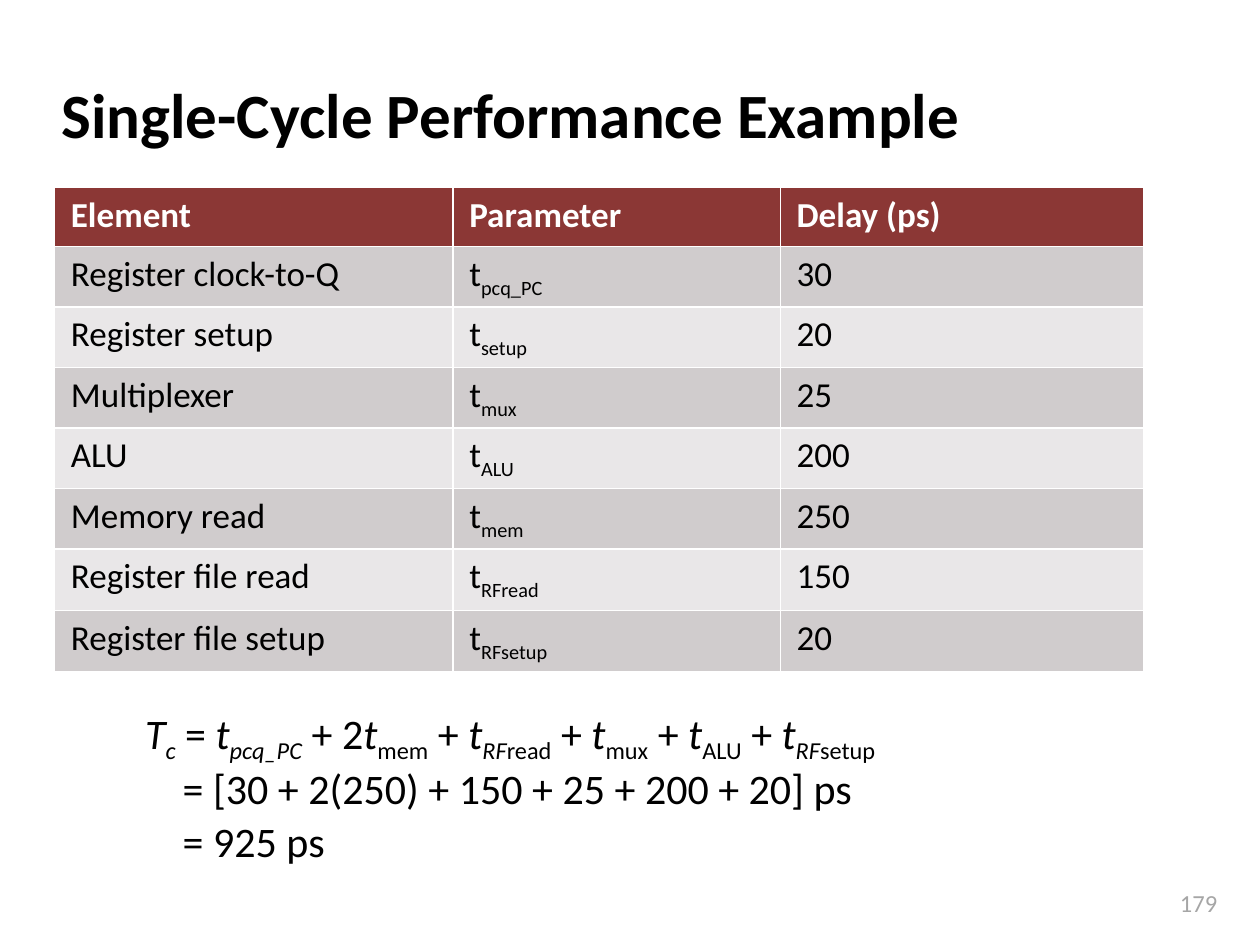
from lxml import etree
from pptx import Presentation
from pptx.dml.color import RGBColor
from pptx.enum.text import MSO_ANCHOR, MSO_AUTO_SIZE, PP_ALIGN
from pptx.oxml.ns import qn
from pptx.util import Cm, Pt

COLORS = {"text": "000000", "header": "8B3735", "header_text": "FFFFFF",
          "dark_band": "D0CCCD", "light_band": "E9E7E8", "number": "A6A6A6"}
FONT = "Calibri"

# Each row: element, subscript of t, delay
DELAYS = [("Register clock-to-Q", "pcq_PC", "30"),
          ("Register setup", "setup", "20"),
          ("Multiplexer", "mux", "25"),
          ("ALU", "ALU", "200"),
          ("Memory read", "mem", "250"),
          ("Register file read", "RFread", "150"),
          ("Register file setup", "RFsetup", "20")]

# Each term: text before t, italic part of the subscript, upright part
TERMS = [(" = ", "pcq_PC", ""), (" + 2", "", "mem"), (" + ", "RF", "read"),
         (" + ", "", "mux"), (" + ", "", "ALU"), (" + ", "RF", "setup")]
RESULTS = ["= [30 + 2(250) + 150 + 25 + 200 + 20] ps", "= 925 ps"]


def add_run(p, text, size, color="text", sub=False, **style):
    r = p.add_run()
    r.text = text
    for name, value in {"name": FONT, "size": Pt(size), **style}.items():
        setattr(r.font, name, value)
    r.font.color.rgb = RGBColor.from_string(COLORS[color])
    if sub:
        r._r.get_or_add_rPr().set("baseline", "-25000")


def place(s, left, top, width, height):
    box = {"left": left, "top": top, "width": width, "height": height}
    for name, value in box.items():
        setattr(s, name, Cm(value))


def add_title(s, text):
    place(s, 0.99, 1.22, 21.08, 2.11)
    tf = s.text_frame
    tf.auto_size = MSO_AUTO_SIZE.NONE
    tf.vertical_anchor = MSO_ANCHOR.MIDDLE
    p = tf.paragraphs[0]
    p.alignment = PP_ALIGN.LEFT
    add_run(p, text, 36, bold=True)


def fill_cell(cell, text, fill, sub="", **style):
    margins = {"margin_left": 0.33, "margin_right": 0.33,
               "margin_top": 0.13, "margin_bottom": 0.13}
    for name, value in margins.items():
        setattr(cell, name, Cm(value))
    cell.fill.solid()
    cell.fill.fore_color.rgb = RGBColor.from_string(COLORS[fill])
    p = cell.text_frame.paragraphs[0]
    add_run(p, text, 20, **style)
    if sub:
        add_run(p, sub, 20, sub=True, **style)


def add_delay_table(slide):
    widths = [8.03, 6.6, 7.32]
    heights = [1.19] * 6 + [1.24] * 2
    table = slide.shapes.add_table(
        len(heights), len(widths), Cm(1.1), Cm(3.78),
        Cm(sum(widths)), Cm(sum(heights))).table
    for column, width in zip(table.columns, widths):
        column.width = Cm(width)
    for row, height in zip(table.rows, heights):
        row.height = Cm(height)
    for c, heading in enumerate(["Element", "Parameter", "Delay (ps)"]):
        fill_cell(table.cell(0, c), heading, "header",
                  color="header_text", bold=True)
    for i, (element, sub, delay) in enumerate(DELAYS, 1):
        band = "dark_band" if i % 2 else "light_band"
        fill_cell(table.cell(i, 0), element, band, bold=False)
        fill_cell(table.cell(i, 1), "t", band, sub=sub, bold=False)
        fill_cell(table.cell(i, 2), delay, band, bold=False)


def format_line(p, indent, space_before):
    """Set a plain line without a bullet, at the given left indent."""
    pPr = p._p.get_or_add_pPr()
    pPr.set("marL", str(Cm(indent)))
    pPr.set("indent", "0")
    etree.SubElement(pPr, qn("a:buNone"))
    p.line_spacing = 0.9
    p.space_before = Pt(space_before)


def add_cycle_time(s):
    place(s, 1.7, 14.14, 21.39, 3.64)
    tf = s.text_frame
    tf.auto_size = MSO_AUTO_SIZE.NONE
    p = tf.paragraphs[0]
    format_line(p, 0.97, 0)
    add_run(p, "T", 24, italic=True)
    add_run(p, "c", 24, sub=True, italic=True)
    for lead, slanted, upright in TERMS:
        add_run(p, lead, 24)
        add_run(p, "t", 24, italic=True)
        if slanted:
            add_run(p, slanted, 24, sub=True, italic=True)
        if upright:
            add_run(p, upright, 24, sub=True)
    for text in RESULTS:
        p = tf.add_paragraph()
        format_line(p, 1.73, 4.8)
        add_run(p, text, 24)


def add_page_number(slide, number):
    tf = slide.shapes.add_textbox(Cm(22.86), Cm(17.78),
                                  Cm(1.93), Cm(0.86)).text_frame
    tf.word_wrap = True
    p = tf.paragraphs[0]
    p.alignment = PP_ALIGN.RIGHT
    add_run(p, number, 14, color="number")


def main():
    prs = Presentation()
    prs.slide_width, prs.slide_height = Cm(25.4), Cm(19.05)
    slide = prs.slides.add_slide(prs.slide_layouts[1])
    add_title(slide.shapes.title, "Single-Cycle Performance Example")
    add_delay_table(slide)
    add_cycle_time(slide.placeholders[1])
    add_page_number(slide, "179")
    prs.save("out.pptx")


if __name__ == "__main__":
    main()
